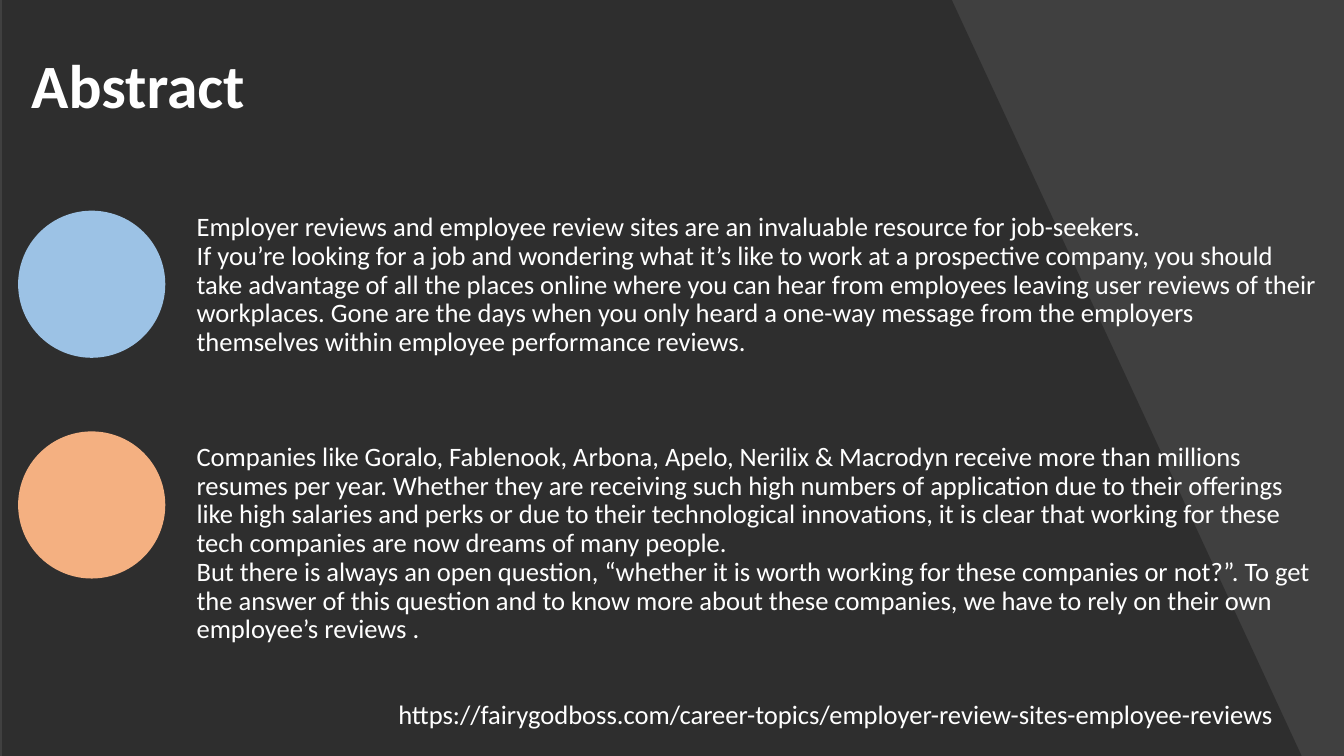
from dataclasses import dataclass

from lxml.etree import SubElement
from pptx import Presentation
from pptx.dml.color import RGBColor as RGB
from pptx.enum.shapes import MSO_SHAPE as Shape
from pptx.enum.text import MSO_ANCHOR as Anchor, MSO_AUTO_SIZE as Fit, PP_ALIGN as Align
from pptx.oxml.ns import qn
from pptx.util import Inches, Pt


@dataclass(frozen=True)
class Theme:
    font: str = "Calibri"
    head: int = 44
    text: int = 19
    lead: float = 0.9
    ink: str = "FFFFFF"
    back: str = "404040"
    shade: str = "000000"
    blue: str = "9CC2E5"
    peach: str = "F4B081"


# Each entry: text, space before in points, left indent in inches
BODY = [
    ("Employer reviews and employee review sites are an invaluable resource "
     "for job-seekers.", 0, 0),
    ("If you’re looking for a job and wondering what it’s like to work at a "
     "prospective company, you should take advantage of all the places online "
     "where you can hear from employees leaving user reviews of their "
     "workplaces. Gone are the days when you only heard a one-way message from "
     "the employers themselves within employee performance reviews.", 0, 0),
    ("Companies like Goralo, Fablenook, Arbona, Apelo, Nerilix & Macrodyn "
     "receive more than millions resumes per year. Whether they are receiving "
     "such high numbers of application due to their offerings like high "
     "salaries and perks or due to their technological innovations, it is clear "
     "that working for these tech companies are now dreams of many people.",
     61.5, 0),
    ("But there is always an open question, “whether it is worth working for "
     "these companies or not?”. To get the answer of this question and to know "
     "more about these companies, we have to rely on their own employee’s "
     "reviews .", 0, 0),
    ("https://fairygodboss.com/career-topics/employer-review-sites-employee-reviews",
     41, 2),
]


class Deck:
    def __init__(self, theme):
        self.theme = theme
        self.prs = Presentation()
        self.prs.slide_width = Inches(13.33)
        self.prs.slide_height = Inches(7.5)
        self.slide = self.prs.slides.add_slide(self.prs.slide_layouts[1])

    def paint(self, shape, color, alpha=None):
        shape.shadow.inherit = False
        shape.fill.solid()
        shape.fill.fore_color.rgb = RGB.from_string(color)
        shape.line.fill.background()
        if alpha is not None:
            tint = shape.element.spPr.find(".//" + qn("a:srgbClr"))
            SubElement(tint, qn("a:alpha")).set("val", str(alpha * 1000))

    def shape(self, kind, box, color):
        item = self.slide.shapes.add_shape(kind, *map(Inches, box))
        self.paint(item, color)

    def poly(self, points, color, alpha):
        spots = [(Inches(x), Inches(y)) for x, y in points]
        form = self.slide.shapes.build_freeform(*spots[0])
        form.add_line_segments(spots[1:], close=True)
        self.paint(form.convert_to_shape(), color, alpha)

    def place(self, holder, box, anchor):
        """Move a placeholder to its box and to the front; return its text frame."""
        holder.left, holder.top, holder.width, holder.height = map(Inches, box)
        holder.element.getparent().append(holder.element)
        frame = holder.text_frame
        frame.word_wrap = True
        frame.auto_size = Fit.NONE
        frame.vertical_anchor = anchor
        return frame

    def put(self, para, text, size, bold=False, gap=0, indent=0):
        """Format a paragraph and add its text as one run."""
        props = para._p.get_or_add_pPr()
        props.set("marL", str(Inches(indent)))
        props.set("indent", "0")
        SubElement(props, qn("a:buNone"))
        para.alignment = Align.LEFT
        para.line_spacing = self.theme.lead
        para.space_before = Pt(gap)
        run = para.add_run()
        run.text = text
        font = run.font
        font.name, font.size, font.bold = self.theme.font, Pt(size), bold
        font.color.rgb = RGB.from_string(self.theme.ink)

    def title(self, text, box):
        frame = self.place(self.slide.shapes.title, box, Anchor.MIDDLE)
        self.put(frame.paragraphs[0], text, self.theme.head, bold=True)

    def body(self, items, box):
        frame = self.place(self.slide.placeholders[1], box, Anchor.TOP)
        for i, (text, gap, indent) in enumerate(items):
            para = frame.add_paragraph() if i else frame.paragraphs[0]
            self.put(para, text, self.theme.text, gap=gap, indent=indent)


def main():
    theme = Theme()
    deck = Deck(theme)
    deck.shape(Shape.RECTANGLE, (0, 0, 13.33, 7.5), theme.back)
    deck.poly([(0.02, 0), (9.44, 0), (12.91, 7.5), (0.02, 7.5)], theme.shade, 28)
    deck.title("Abstract", (0.21, 0.25, 11.51, 1.25))
    deck.body(BODY, (1.85, 2.07, 11.34, 5.28))
    for i, color in enumerate((theme.blue, theme.peach)):
        deck.shape(Shape.OVAL, (0.18, 2.09 + 2.19 * i, 1.46, 1.46), color)
    deck.prs.save("out.pptx")


if __name__ == "__main__":
    main()
